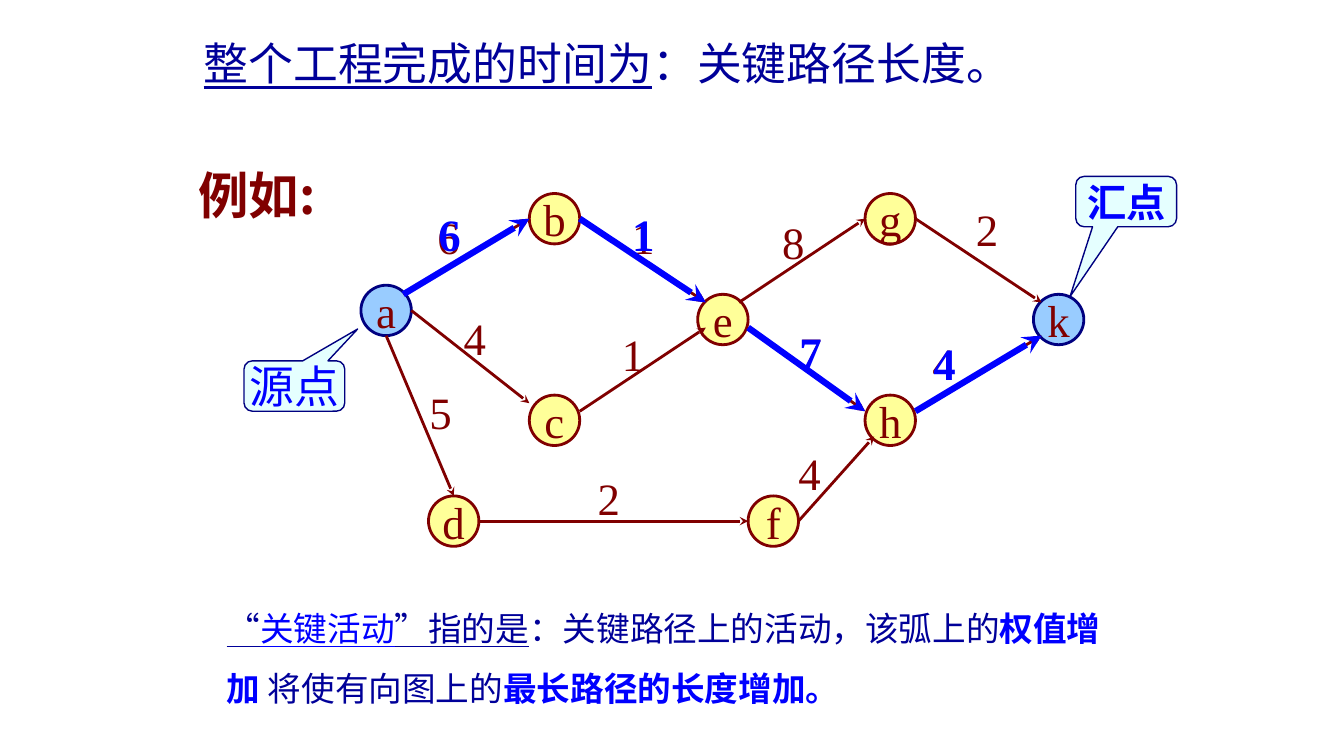
from lxml import etree
from pptx import Presentation
from pptx.dml.color import RGBColor
from pptx.enum import shapes, text
from pptx.oxml import ns
from pptx.util import Inches, Pt

LATIN, CJK = "Times New Roman", "Noto Sans CJK SC"
NAVY, BLUE, MAROON = "000099", "0000FF", "800000"
OUTLINE, SKY, YELLOW, ICE = "000080", "99CCFF", "FFFF99", "CCFFFF"

# Runs: wording, colour, bold, underlined
HEADING = [("整个工程完成的时间为", NAVY, False, True),
           ("：关键路径长度。", NAVY, False, False)]
EXPLANATION = [("“", NAVY, False, True),
               ("关键活动", BLUE, False, True),
               ("”指的是", NAVY, False, True),
               ("：关键路径上的活动，该弧上的", NAVY, False, False),
               ("权值增加 ", BLUE, True, False),
               ("将使有向图上的", NAVY, False, False),
               ("最长路径的长度增加。", BLUE, True, False)]

# Event: left, top
EVENTS = {"a": (3.58, 2.83), "b": (5.25, 1.92), "c": (5.25, 3.92),
          "d": (4.25, 4.92), "e": (6.92, 2.92), "f": (7.42, 4.92),
          "g": (8.58, 1.92), "h": (8.58, 3.92), "k": (10.25, 2.92)}
SOURCE_AND_SINK = "ak"
DIAMETER = 0.5

# Activity: start, end, weight, weight position, position of its critical weight
ACTIVITIES = [
    ((4, 2.92), (5.25, 2.17), "6", (4.24, 2.03), (4.25, 2)),
    ((4.08, 3.08), (5.25, 4), "4", (4.5, 3.03), None),
    ((5.75, 4.08), (7, 3.25), "1", (6.07, 3.19), None),
    ((5.75, 2.17), (7, 3), "1", (6.17, 2.03), (6.17, 2)),
    ((7.33, 3), (8.58, 2.17), "8", (7.66, 2.08), None),
    ((9.08, 2.17), (10.33, 3), "2", (9.58, 1.95), None),
    ((7.42, 3.25), (8.58, 4.08), "7", (7.83, 3.17), (7.83, 3.17)),
    ((9.08, 4.08), (10.33, 3.33), "4", (9.15, 3.28), (9.16, 3.28)),
    ((3.83, 3.33), (4.5, 4.92), "5", (4.16, 3.77), None),
    ((4.75, 5.17), (7.42, 5.17), "2", (5.83, 4.62), None),
    ((7.92, 5.17), (8.67, 4.33), "4", (7.82, 4.37), None),
]
CRITICAL = [activity for activity in ACTIVITIES if activity[4]]

# Callout: wording, left, top, pointer adjustments, size, bold
CALLOUTS = [("源点", 2.42, 3.58, (0.628, -1.132, 0.167), 32, False),
            ("汇点", 10.67, 1.75, (-0.557, 1.885, 0.167), 28, True)]

deck = Presentation()
deck.slide_width, deck.slide_height = Inches(13.33), Inches(7.5)
slide = deck.slides.add_slide(deck.slide_layouts[5])


def rgb(value):
    return RGBColor.from_string(value)


def write(frame, runs, size, latin=LATIN, spacing=None, wrap=False,
          align=text.PP_ALIGN.LEFT, anchor=text.MSO_ANCHOR.TOP):
    frame.word_wrap = wrap
    frame.auto_size = text.MSO_AUTO_SIZE.NONE
    frame.vertical_anchor = anchor
    paragraph = frame.paragraphs[0]
    paragraph.alignment = align
    if spacing:
        paragraph.line_spacing = spacing
    for wording, colour, bold, underlined in runs:
        run = paragraph.add_run()
        run.text = wording
        font = run.font
        font.size, font.name = Pt(size), latin
        font.bold, font.underline = bold, underlined
        font.color.rgb = rgb(colour)
        east_asian = etree.SubElement(run._r.rPr, ns.qn("a:ea"))
        east_asian.set("typeface", CJK)


def add_text(left, top, width, height, runs, size, **options):
    box = slide.shapes.add_textbox(*map(Inches, (left, top, width, height)))
    write(box.text_frame, runs, size, **options)


def add_weight(weight, position, colour, bold):
    add_text(*position, 0.42, 0.63, [(weight, colour, bold, False)], 32)


def add_figure(preset, left, top, width, height, fill, line, thickness):
    figure = slide.shapes.add_shape(preset, *map(Inches, (left, top, width, height)))
    figure.shadow.inherit = False
    figure.fill.solid()
    figure.fill.fore_color.rgb = rgb(fill)
    figure.line.color.rgb = rgb(line)
    figure.line.width = Pt(thickness)
    return figure


def add_arrow(start, end, colour, thickness):
    arrow = slide.shapes.add_connector(
        shapes.MSO_CONNECTOR.STRAIGHT, *map(Inches, start + end))
    arrow.line.color.rgb = rgb(colour)
    arrow.line.width = Pt(thickness)
    head = etree.SubElement(arrow.line._get_or_add_ln(), ns.qn("a:tailEnd"))
    head.set("type", "stealth")
    etree.SubElement(arrow._element.spPr, ns.qn("a:effectLst"))


CENTRED = {"align": text.PP_ALIGN.CENTER, "anchor": text.MSO_ANCHOR.MIDDLE}

# Heading
heading = slide.shapes.title
heading.left, heading.top = Inches(1.92), Inches(0.2)
heading.width, heading.height = Inches(9.6), Inches(0.69)
write(heading.text_frame, HEADING, 32, spacing=1.2, wrap=True)

# Network: events, activities and their weights
for event, (left, top) in EVENTS.items():
    fill, line = (SKY, OUTLINE) if event in SOURCE_AND_SINK else (YELLOW, MAROON)
    circle = add_figure(shapes.MSO_SHAPE.OVAL, left, top, DIAMETER, DIAMETER,
                        fill, line, 2)
    write(circle.text_frame, [(event, MAROON, False, False)], 32, **CENTRED)
for start, end, *_ in ACTIVITIES:
    add_arrow(start, end, MAROON, 2)
for _, _, weight, position, _ in ACTIVITIES:
    add_weight(weight, position, MAROON, False)

# Critical path
for start, end, *_ in CRITICAL:
    add_arrow(start, end, BLUE, 4.5)

# Example label and explanation
add_text(1.87, 1.58, 1.46, 0.7, [("例如:", MAROON, True, False)], 36, latin=CJK)
add_text(2.15, 5.78, 9.18, 1.24, EXPLANATION, 24, spacing=1.5, wrap=True)

# Source and sink callouts, half transparent
for wording, left, top, pointer, size, bold in CALLOUTS:
    callout = add_figure(shapes.MSO_SHAPE.ROUNDED_RECTANGULAR_CALLOUT,
                         left, top, 1, 0.5, ICE, OUTLINE, 1)
    for index, value in enumerate(pointer):
        callout.adjustments[index] = value
    tint = callout._element.spPr.find(ns.qn("a:solidFill"))[0]
    etree.SubElement(tint, ns.qn("a:alpha")).set("val", "50000")
    write(callout.text_frame, [(wording, BLUE, bold, False)], size, **CENTRED)

# Critical weights
for _, _, weight, _, position in CRITICAL:
    add_weight(weight, position, BLUE, True)

deck.save("out.pptx")
